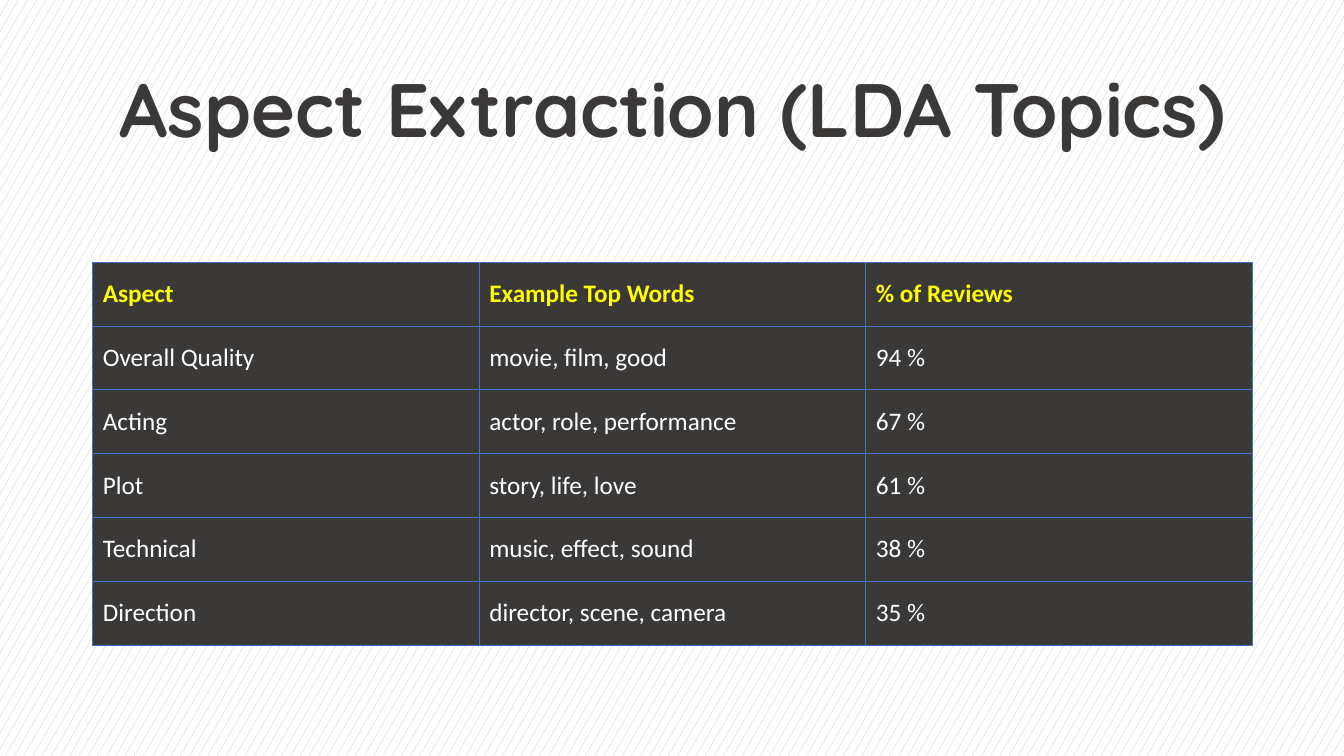
from dataclasses import dataclass

from lxml import etree
from pptx import Presentation
from pptx.dml.color import RGBColor
from pptx.enum.dml import MSO_PATTERN
from pptx.enum.text import MSO_ANCHOR, MSO_AUTO_SIZE, PP_ALIGN
from pptx.oxml.ns import qn
from pptx.util import Inches, Pt

CENTER, JUSTIFY = PP_ALIGN.CENTER, PP_ALIGN.JUSTIFY
MIDDLE = MSO_ANCHOR.MIDDLE
NO_AUTOFIT = MSO_AUTO_SIZE.NONE
CONFETTI = MSO_PATTERN.SMALL_CONFETTI
TITLE_ONLY = 5


@dataclass(frozen=True)
class Theme:
    dark: str = "3B3838"
    white: str = "FFFFFF"
    yellow: str = "FFFF00"
    pattern: str = "BFBFBF"
    border: str = "4472C4"
    border_width: float = 0.5
    title_font: str = "Quicksand"
    table_font: str = "Calibri"
    title_size: int = 54
    table_size: int = 18


THEME = Theme()

TOPICS = [
    ("Aspect", "Example Top Words", "% of Reviews"),
    ("Overall Quality", "movie, film, good", "94 %"),
    ("Acting", "actor, role, performance", "67 %"),
    ("Plot", "story, life, love", "61 %"),
    ("Technical", "music, effect, sound", "38 %"),
    ("Direction", "director, scene, camera", "35 %"),
]


def set_attributes(target, values):
    for name, value in values.items():
        setattr(target, name, value)


def write_text(frame, text, align, color, **font_values):
    paragraph = frame.paragraphs[0]
    paragraph.alignment = align
    run = paragraph.add_run()
    run.text = text
    set_attributes(run.font, font_values)
    run.font.color.rgb = RGBColor.from_string(color)
    return paragraph


def paint_background(slide):
    fill = slide.background.fill
    fill.patterned()
    fill.pattern = CONFETTI
    fill.fore_color.rgb = RGBColor.from_string(THEME.pattern)
    fill.back_color.rgb = RGBColor.from_string(THEME.white)


def add_title(slide, text):
    title = slide.shapes.title
    set_attributes(title, {"left": Inches(0.92), "top": Inches(0.4),
                           "width": Inches(11.5), "height": Inches(1.45)})
    set_attributes(title.text_frame, {"vertical_anchor": MIDDLE, "word_wrap": True,
                                      "auto_size": NO_AUTOFIT})
    heading = write_text(title.text_frame, text, CENTER, THEME.dark,
                         name=THEME.title_font, size=Pt(THEME.title_size), bold=True)
    heading.line_spacing = 0.9


def add_borders(cell):
    properties = cell._tc.get_or_add_tcPr()
    for side in ("a:lnL", "a:lnR", "a:lnT", "a:lnB"):
        line = etree.SubElement(properties, qn(side), w=str(Pt(THEME.border_width)))
        solid = etree.SubElement(line, qn("a:solidFill"))
        etree.SubElement(solid, qn("a:srgbClr"), val=THEME.border)


def format_cell(cell, text, is_header):
    add_borders(cell)
    cell.fill.solid()
    cell.fill.fore_color.rgb = RGBColor.from_string(THEME.dark)
    cell.vertical_anchor = MIDDLE
    write_text(cell.text_frame, text, JUSTIFY,
               THEME.yellow if is_header else THEME.white,
               name=THEME.table_font, size=Pt(THEME.table_size), bold=is_header)


def add_topic_table(slide, rows):
    table = slide.shapes.add_table(len(rows), len(rows[0]), Inches(0.92), Inches(2.6),
                                   Inches(11.5), Inches(3.8)).table
    table.horz_banding = False
    for row_index, row in enumerate(rows):
        for column_index, text in enumerate(row):
            format_cell(table.cell(row_index, column_index), text, row_index == 0)


def main():
    presentation = Presentation()
    set_attributes(presentation, {"slide_width": Inches(13.33),
                                  "slide_height": Inches(7.5)})
    slide = presentation.slides.add_slide(presentation.slide_layouts[TITLE_ONLY])

    # Backdrop and heading
    paint_background(slide)
    add_title(slide, "Aspect Extraction (LDA Topics)")

    # Topics found in the reviews
    add_topic_table(slide, TOPICS)

    presentation.save("out.pptx")


if __name__ == "__main__":
    main()
